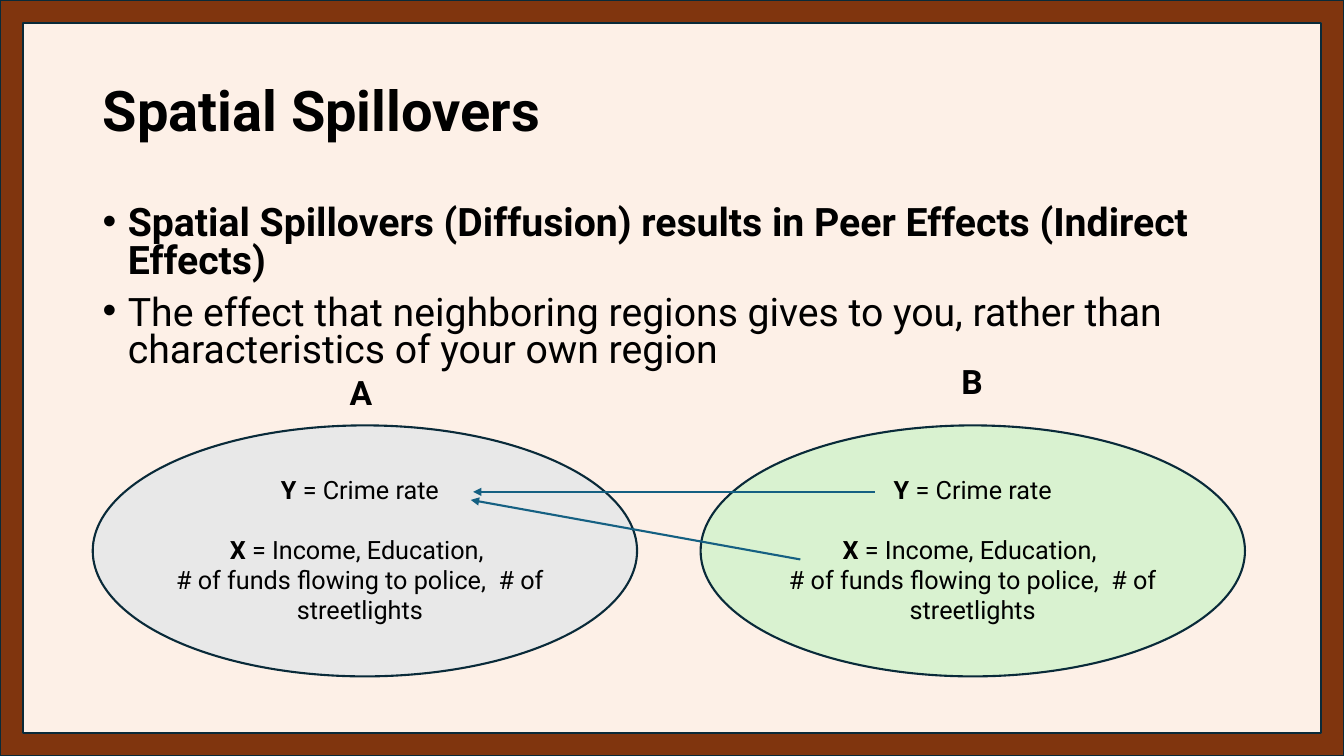
"""Build the Spatial Spillovers slide: two regions and the effects between them."""
import pptx
import pptx.dml.color
import pptx.enum.shapes
import pptx.enum.text
import pptx.oxml.ns
import pptx.util
from lxml import etree

SHAPE = pptx.enum.shapes.MSO_SHAPE
ALIGN = pptx.enum.text.PP_ALIGN
ANCHOR = pptx.enum.text.MSO_ANCHOR
Pt = pptx.util.Pt
WIDTH, HEIGHT = pptx.util.Inches(13.33), pptx.util.Inches(7.5)
FONT, INK, EDGE, ARROW = "Roboto", "000000", "092A39", "156082"

TITLE = [({"line_spacing": 0.9}, [("Spatial Spillovers", True)])]
POINT = {"line_spacing": 0.8, "space_before": Pt(10)}
POINTS = [
    (POINT, [("Spatial Spillovers (Diffusion) results in Peer Effects (Indirect Effects)", True)]),
    (POINT, [("The effect that neighboring regions gives to you, rather than "
              "characteristics of your own region", False)]),
]
CENTRED = {"alignment": ALIGN.CENTER}
VARIABLES = [
    (CENTRED, [("Y ", True), ("= Crime rate", False)]),
    (CENTRED | {"space_before": Pt(21)}, [("X", True), (" = Income, Education, ", False)]),
    (CENTRED, [("# of funds flowing to police,  # of streetlights", False)]),
]
REGIONS = [
    ("A", "E8E8E8", 6.9, 8.03, (25.28, 48.53)),
    ("B", "D9F2D0", 52.13, 53.63, (70.8, 47.07)),
]
EFFECTS = [((59.55, 74), (35.03, 66.13)), ((65.1, 65.07), (35.2, 65.07))]


def rgb(value):
    """Turn a hex string into a colour."""
    return pptx.dml.color.RGBColor.from_string(value)


def apply(target, values):
    """Set every attribute in a dict of format values."""
    for name, value in values.items():
        setattr(target, name, value)


def place(*shares):
    """Turn alternating percentages of slide width and height into lengths."""
    return [round(side * share / 100) for share, side in zip(shares, (WIDTH, HEIGHT) * 2)]


def outline(line, color):
    """Give a line its colour and the common weight."""
    line.color.rgb = rgb(color)
    line.width = Pt(1.5)


def add_figure(s, kind, at, fill):
    """Add a filled and outlined preset shape."""
    sp = s.shapes.add_shape(kind, *place(*at))
    sp.shadow.inherit = False
    sp.fill.solid()
    sp.fill.fore_color.rgb = rgb(fill)
    outline(sp.line, EDGE)
    return sp


def add_bullet(p):
    """Give a paragraph a hanging bullet."""
    pPr = p._p.get_or_add_pPr()
    indent = pptx.util.Inches(0.25)
    pPr.set("marL", str(indent))
    pPr.set("indent", str(-indent))
    etree.SubElement(pPr, pptx.oxml.ns.qn("a:buFont"), typeface="Arial")
    etree.SubElement(pPr, pptx.oxml.ns.qn("a:buChar"), char="•")


def add_text(s, at, paragraphs, size, anchor=ANCHOR.TOP, wrap=True, bullets=False):
    """Add a text box made of formatted paragraphs and runs."""
    tf = s.shapes.add_textbox(*place(*at)).text_frame
    apply(tf, {"word_wrap": wrap, "vertical_anchor": anchor})
    for i, (style, runs) in enumerate(paragraphs):
        p = tf.add_paragraph() if i else tf.paragraphs[0]
        apply(p, style)
        if bullets:
            add_bullet(p)
        for text, bold in runs:
            r = p.add_run()
            r.text = text
            apply(r.font, {"name": FONT, "size": Pt(size), "bold": bold})
            r.font.color.rgb = rgb(INK)


def add_arrow(s, start, end):
    """Add a straight connector with a triangle at its end."""
    kind = pptx.enum.shapes.MSO_CONNECTOR.STRAIGHT
    line = s.shapes.add_connector(kind, *place(*start, *end))
    outline(line.line, ARROW)
    etree.SubElement(line.line._get_or_add_ln(), pptx.oxml.ns.qn("a:tailEnd"), type="triangle")
    etree.SubElement(line._element.spPr, pptx.oxml.ns.qn("a:effectLst"))


def main():
    """Compose the slide and save it."""
    prs = pptx.Presentation()
    apply(prs, {"slide_width": WIDTH, "slide_height": HEIGHT})
    s = prs.slides.add_slide(prs.slide_layouts[6])
    s.background.fill.solid()
    s.background.fill.fore_color.rgb = rgb("FDF0E7")

    frame = add_figure(s, SHAPE.FRAME, (0, 0, 100, 100), "80350E")
    frame.adjustments[0] = 0.03
    add_text(s, (6.9, 5.33, 86.25, 19.33), TITLE, 40, anchor=ANCHOR.MIDDLE)
    add_text(s, (6.9, 26.67, 86.25, 23.33), POINTS, 28, bullets=True)
    for name, fill, left, text_left, label in REGIONS:
        add_figure(s, SHAPE.OVAL, (left, 56.27, 40.5, 33.2), fill)
        add_text(s, (text_left, 62.13, 37.5, 21.6), VARIABLES, 18)
        add_text(s, (*label, 3.08, 6.67), [({}, [(name, True)])], 24, wrap=False)
    for start, end in EFFECTS:
        add_arrow(s, start, end)
    prs.save("out.pptx")


if __name__ == "__main__":
    main()
